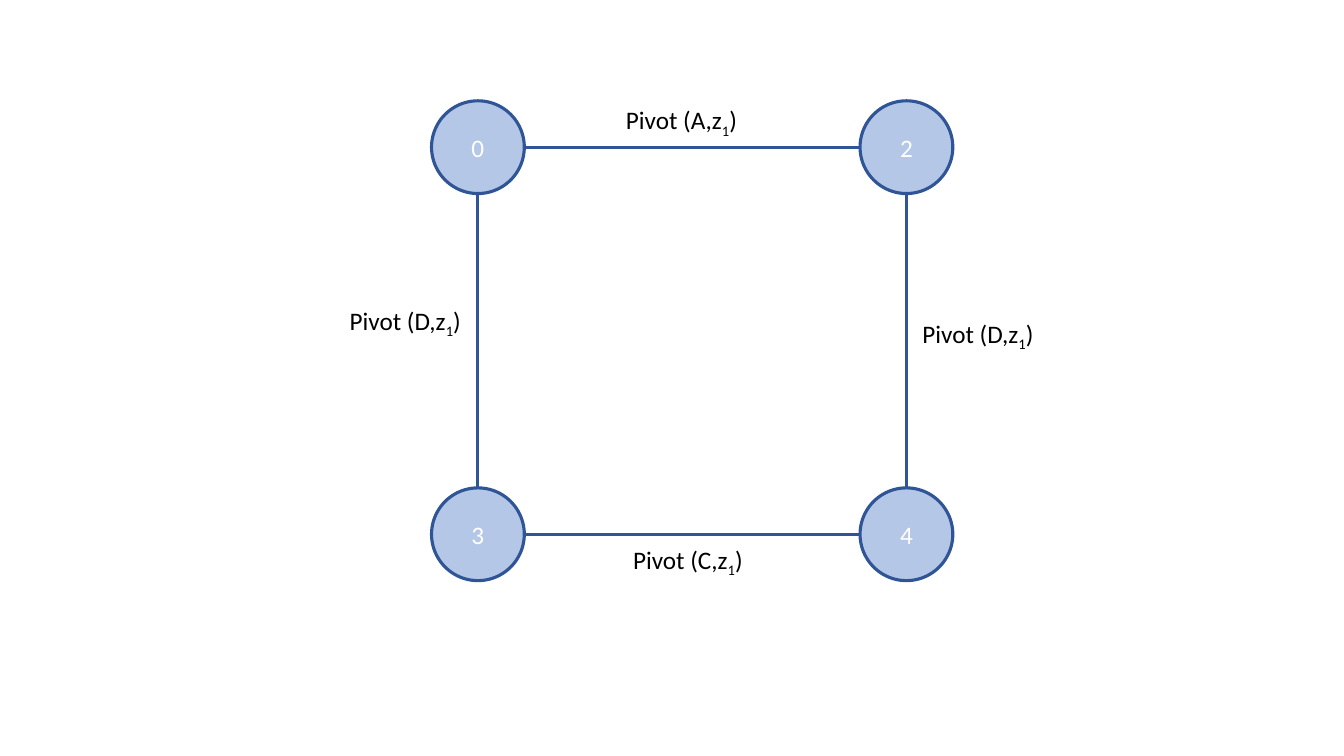
"""Draw a square graph of four states joined by pivot steps."""
from lxml import etree
from pptx import Presentation
from pptx.dml.color import RGBColor
from pptx.enum.shapes import MSO_CONNECTOR, MSO_SHAPE
from pptx.enum.text import MSO_ANCHOR, MSO_AUTO_SIZE, PP_ALIGN
from pptx.oxml.ns import qn
from pptx.util import Inches, Pt

OVAL = MSO_SHAPE.OVAL
STRAIGHT = MSO_CONNECTOR.STRAIGHT
MIDDLE = MSO_ANCHOR.MIDDLE
CENTER = PP_ALIGN.CENTER
GROW = MSO_AUTO_SIZE.SHAPE_TO_FIT_TEXT

COLORS = {"node": "B4C7E7", "edge": "2F5597", "light": "FFFFFF", "dark": "000000"}
SIZE = 0.92
HALF = SIZE / 2
LEFT, RIGHT = 4.74, 8.99
TOP, BOTTOM = 1.46, 5.3


class Graph:
    def __init__(self, slide):
        self.shapes = slide.shapes
        self.font = "Calibri"
        self.size = Pt(18)
        self.weight = Pt(2.25)

    def color(self, name):
        return RGBColor.from_string(COLORS[name])

    def stroke(self, line):
        line.color.rgb = self.color("edge")
        line.width = self.weight

    def run(self, para, text, color, sub=False):
        run = para.add_run()
        run.text = text
        run.font.name = self.font
        run.font.size = self.size
        run.font.color.rgb = self.color(color)
        if sub:
            run.font._element.set("baseline", "-25000")

    def node(self, text, x, y):
        box = [Inches(v) for v in (x - HALF, y - HALF, SIZE, SIZE)]
        node = self.shapes.add_shape(OVAL, *box)
        node.shadow.inherit = False
        node.fill.solid()
        node.fill.fore_color.rgb = self.color("node")
        self.stroke(node.line)
        node.text_frame.vertical_anchor = MIDDLE
        para = node.text_frame.paragraphs[0]
        para.alignment = CENTER
        self.run(para, text, "light")

    def edge(self, *ends):
        edge = self.shapes.add_connector(STRAIGHT, *[Inches(v) for v in ends])
        self.stroke(edge.line)
        etree.SubElement(edge._element.spPr, qn("a:effectLst"))

    def label(self, letter, x, y, width):
        box = [Inches(v) for v in (x, y, width, 0.4)]
        frame = self.shapes.add_textbox(*box).text_frame
        frame.word_wrap = False
        frame.auto_size = GROW
        para = frame.paragraphs[0]
        self.run(para, f"Pivot ({letter},z", "dark")
        self.run(para, "1", "dark", sub=True)
        self.run(para, ")", "dark")


def main():
    deck = Presentation()
    deck.slide_width, deck.slide_height = Inches(13.33), Inches(7.5)
    graph = Graph(deck.slides.add_slide(deck.slide_layouts[6]))

    spots = [(x, y) for y in (TOP, BOTTOM) for x in (LEFT, RIGHT)]
    for text, spot in zip("0234", spots):
        graph.node(text, *spot)

    for y in (TOP, BOTTOM):
        graph.edge(LEFT + HALF, y, RIGHT - HALF, y)
    for x in (LEFT, RIGHT):
        graph.edge(x, TOP + HALF, x, BOTTOM - HALF)

    labels = [
        ("A", 6.11, 0.99, 1.37),
        ("D", 9.05, 3.11, 1.37),
        ("C", 6.18, 5.35, 1.31),
        ("D", 3.37, 2.98, 1.37),
    ]
    for label in labels:
        graph.label(*label)

    deck.save("out.pptx")


if __name__ == "__main__":
    main()
